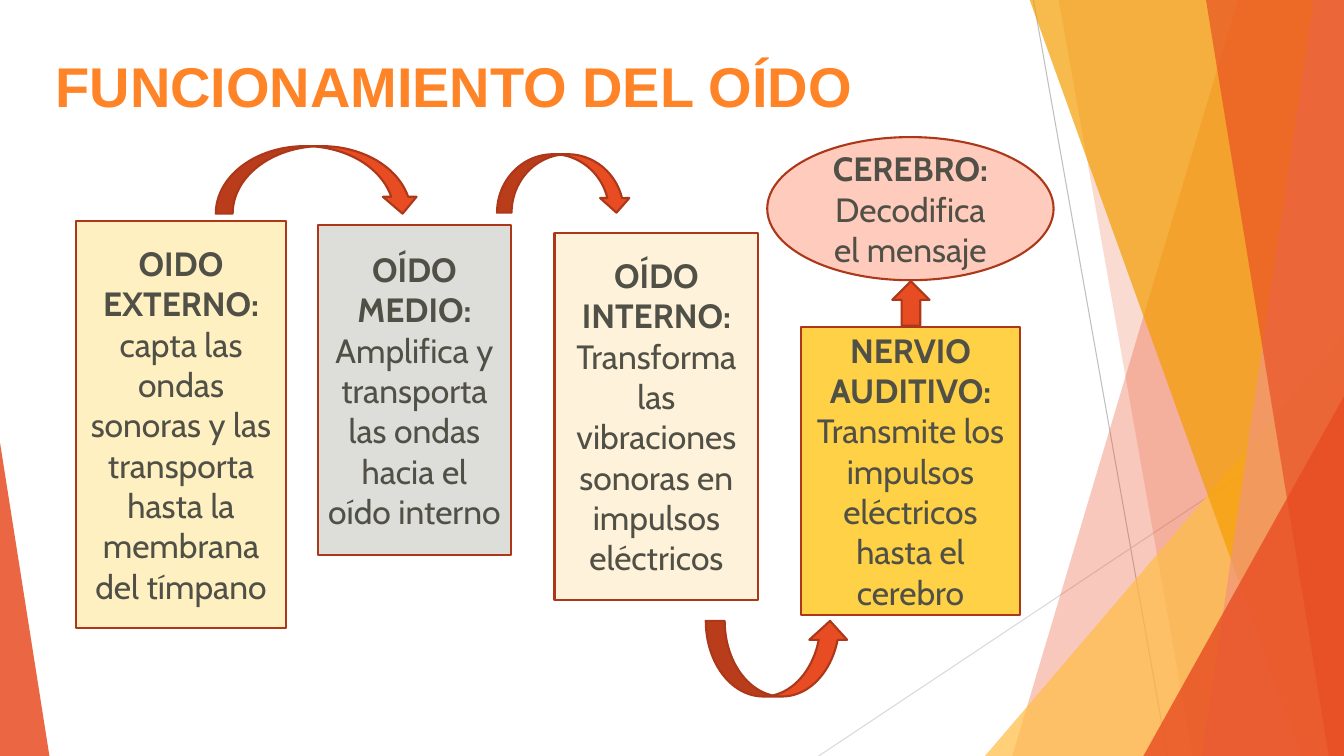
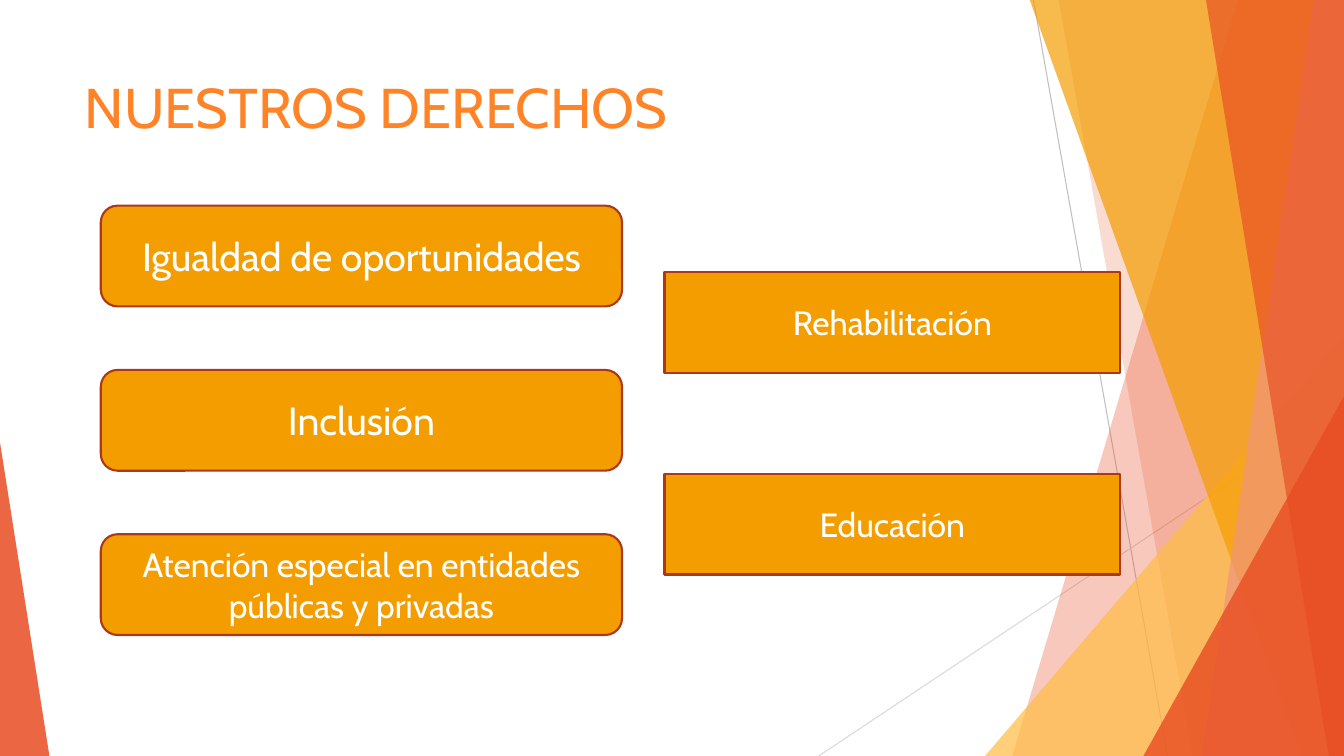
from dataclasses import dataclass

from lxml import etree
from pptx import Presentation
from pptx import util as u
from pptx.dml.color import RGBColor
from pptx.enum import shapes, text
from pptx.oxml.ns import qn

Inches = u.Inches


@dataclass(frozen=True)
class Theme:
    font: str = "Cabin"
    title_color: str = "FF8427"
    body_color: str = "505046"
    white: str = "FFFFFF"
    red: str = "E84C22"
    salmon: str = "F1947A"
    orange: str = "F49D00"
    amber: str = "FFBD47"
    outline: str = "AC3819"
    title_size: int = 40
    large_size: int = 28
    body_size: int = 24
    outline_width: float = 1.5
    hairline_width: float = 0.75


theme = Theme()
kinds = shapes.MSO_SHAPE
WIDTH, HEIGHT = 13.33, 7.5


def paint(shape, color, opacity=None):
    """Fill a shape; translucent shapes get no outline, solid ones do."""
    shape.shadow.inherit = False
    shape.fill.solid()
    shape.fill.fore_color.rgb = RGBColor.from_string(color)
    if opacity is None:
        shape.line.color.rgb = RGBColor.from_string(theme.outline)
        shape.line.width = u.Pt(theme.outline_width)
    else:
        shape.line.fill.background()
        fill_color = shape.element.xpath("./p:spPr/a:solidFill/a:srgbClr")[0]
        etree.SubElement(fill_color, qn("a:alpha"), val=str(opacity * 1000))


def style_paragraph(paragraph, size, color, align=text.PP_ALIGN.CENTER, font=theme.font):
    paragraph.alignment = align
    paragraph.font.name = font
    paragraph.font.size = u.Pt(size)
    paragraph.font.color.rgb = RGBColor.from_string(color)


presentation = Presentation()
presentation.slide_width = Inches(WIDTH)
presentation.slide_height = Inches(HEIGHT)
layout = presentation.slide_layouts.get_by_name("Title Only")

# Slides and titles: text, position and size, font, bold
titles = [
    ("FUNCIONAMIENTO DEL OÍDO", (0.45, 0.46, 10.03, 1.25), "Arial", True),
    ("NUESTROS DERECHOS", (0.74, 0.67, 9.4, 1.44), theme.font, False),
]
slides = []
for wording, box, font, bold in titles:
    slide = presentation.slides.add_slide(layout)
    title = slide.shapes.title
    title.left, title.top, title.width, title.height = map(Inches, box)
    title.text_frame.text = wording
    title.text_frame.vertical_anchor = text.MSO_ANCHOR.TOP
    paragraph = title.text_frame.paragraphs[0]
    style_paragraph(paragraph, theme.title_size, theme.title_color, text.PP_ALIGN.LEFT, font)
    paragraph.font.bold = bold
    slides.append(slide)
hearing_slide, rights_slide = slides

# Shared decoration: drawn once, then moved to the layout
decoration = []
hairlines = [
    ((10.25, 0), (11.58, HEIGHT), "BFBFBF"),
    ((WIDTH, 4.03), (8.12, HEIGHT), "D9D9D9"),
]
for start, end, color in hairlines:
    hairline = hearing_slide.shapes.add_connector(
        shapes.MSO_CONNECTOR.STRAIGHT, *map(Inches, start + end))
    hairline.line.color.rgb = RGBColor.from_string(color)
    hairline.line.width = u.Pt(theme.hairline_width)
    etree.SubElement(hairline.element.spPr, qn("a:effectLst"))
    decoration.append(hairline)

# Bands run from top x to bottom x and out to the right edge;
# triangles stand on the bottom edge: left, top, width, apex
panels = [
    ("band", (12.28, 10.04), theme.red, 30),
    ("band", (10.5, 11.83), theme.red, 20),
    ("triangle", (9.77, 3.33, 3.56, 1), theme.amber, 72),
    ("band", (10.21, 12.91), theme.orange, 70),
    ("band", (13.03, 11.92), theme.salmon, 70),
    ("band", (11.96, 13.18), theme.red, 65),
    ("triangle", (11.34, 3.93, 1.99, 1), theme.red, 80),
    ("triangle", (0, 4.39, 0.49, 0), theme.red, 85),
]
for kind, geometry, color, opacity in panels:
    if kind == "band":
        top_x, bottom_x = geometry
        corners = [(WIDTH, -0.01), (WIDTH, HEIGHT), (bottom_x, HEIGHT)]
        builder = hearing_slide.shapes.build_freeform(Inches(top_x), Inches(-0.01))
        builder.add_line_segments([(Inches(x), Inches(y)) for x, y in corners])
        panel = builder.convert_to_shape()
    else:
        left, top, width, apex = geometry
        panel = hearing_slide.shapes.add_shape(
            kinds.ISOSCELES_TRIANGLE, *map(Inches, (left, top, width, HEIGHT - top)))
        panel.adjustments[0] = apex
    paint(panel, color, opacity)
    decoration.append(panel)

for shape_id, shape in enumerate(decoration, start=100):
    shape.element.xpath("./*/p:cNvPr")[0].set("id", str(shape_id))
    layout.shapes.element.append(shape.element)

# Slide 1: stages of hearing, each paragraph a list of (text, bold) runs
stages = [
    (kinds.RECTANGLE, (0.75, 2.19, 2.09, 4.04), "FFF0C2",
     [[("OIDO EXTERNO: ", True),
       ("capta las ondas sonoras y las transporta hasta la membrana del tímpano", False)]]),
    (kinds.RECTANGLE, (3.15, 2.23, 1.92, 3.28), "DDDDD9",
     [[("OÍDO MEDIO:", True)],
      [("Amplifica y transporta las ondas hacia el oído interno", False)]]),
    (kinds.RECTANGLE, (5.5, 2.31, 2.02, 3.64), "FFF2DA",
     [[("OÍDO INTERNO:", True)],
      [("Transforma las vibraciones sonoras en impulsos eléctricos", False)]]),
    (kinds.RECTANGLE, (7.94, 3.24, 2.18, 2.86), "FFD147",
     [[("NERVIO AUDITIVO:", True)],
      [("Transmite los impulsos eléctricos hasta el cerebro", False)]]),
    (kinds.OVAL, (7.61, 1.36, 2.84, 1.42), "FFCBBD",
     [[("CEREBRO: ", True), ("Decodifica el mensaje", False)]]),
]
for kind, box, color, paragraphs in stages:
    stage = hearing_slide.shapes.add_shape(kind, *map(Inches, box))
    paint(stage, color)
    frame = stage.text_frame
    frame.word_wrap = True
    for index, runs in enumerate(paragraphs):
        paragraph = frame.add_paragraph() if index else frame.paragraphs[0]
        style_paragraph(paragraph, theme.body_size, theme.body_color)
        for wording, bold in runs:
            run = paragraph.add_run()
            run.text = wording
            run.font.bold = bold

# Arrows between the stages
arrows = [
    (kinds.CURVED_DOWN_ARROW, (2.14, 1.45, 2.02, 0.67)),
    (kinds.CURVED_DOWN_ARROW, (4.93, 1.53, 1.33, 0.58)),
    (kinds.CURVED_UP_ARROW, (7, 6.16, 1.42, 0.75)),
    (kinds.UP_ARROW, (8.85, 2.79, 0.37, 0.44)),
]
for kind, box in arrows:
    paint(hearing_slide.shapes.add_shape(kind, *map(Inches, box)), theme.red)

# Slide 2: two columns of rights: kind, left, first top, step, width, entries
columns = [
    (kinds.ROUNDED_RECTANGLE, 1, 2.04, 1.63, 5.17,
     [("Igualdad de oportunidades", theme.large_size),
      ("Inclusión", theme.large_size),
      ("Atención especial en entidades públicas y privadas", theme.body_size)]),
    (kinds.RECTANGLE, 6.59, 2.7, 2, 4.52,
     [("Rehabilitación", theme.body_size), ("Educación", theme.body_size)]),
]
for kind, left, first_top, step, width, entries in columns:
    for row, (wording, size) in enumerate(entries):
        box = (left, first_top + row * step, width, 1)
        right = rights_slide.shapes.add_shape(kind, *map(Inches, box))
        paint(right, theme.orange)
        right.text_frame.word_wrap = True
        right.text_frame.text = wording
        style_paragraph(right.text_frame.paragraphs[0], size, theme.white)

presentation.save("out.pptx")
